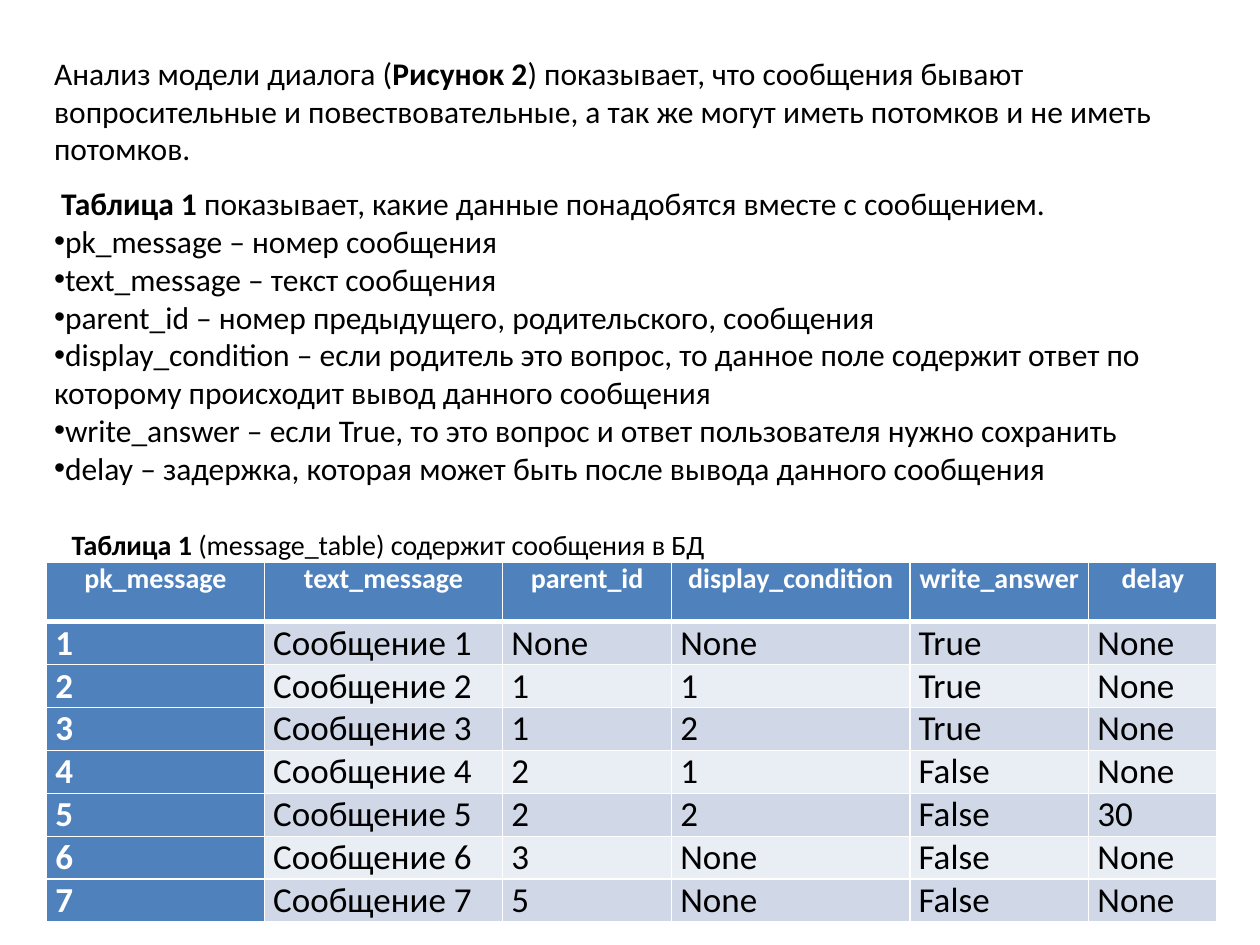
from lxml import etree
from pptx import Presentation
from pptx.dml.color import RGBColor
from pptx.enum import text
from pptx.oxml import ns
from pptx.util import Pt

WHITE, BLACK, BLUE = "FFFFFF", "000000", "4F81BD"
BANDS = ["D0D8E8", "E9EDF4"]


def color(value):
    return RGBColor.from_string(value)


class MessageSlide:
    font = "Calibri"

    def __init__(self, slide):
        self.slide = slide

    def runs(self, paragraph, parts, size, hex_color=BLACK):
        """Each part is a (wording, bold) pair."""
        for wording, bold in parts:
            run = paragraph.add_run()
            run.text = wording
            for name, value in {"name": self.font, "size": Pt(size), "bold": bold}.items():
                setattr(run.font, name, value)
            run.font.color.rgb = color(hex_color)

    def bullet(self, paragraph):
        props = paragraph._p.get_or_add_pPr()
        etree.SubElement(props, ns.qn("a:buFont")).set("typeface", "Arial")
        etree.SubElement(props, ns.qn("a:buChar")).set("char", "•")

    def textbox(self, box, paragraphs, size, anchor):
        """Each paragraph is (parts, space before, has bullet)."""
        frame = self.slide.shapes.add_textbox(*map(Pt, box)).text_frame
        settings = {
            "word_wrap": True,
            "auto_size": text.MSO_AUTO_SIZE.SHAPE_TO_FIT_TEXT,
            "vertical_anchor": anchor,
        }
        for name, value in settings.items():
            setattr(frame, name, value)
        for index, (parts, gap, bulleted) in enumerate(paragraphs):
            paragraph = frame.add_paragraph() if index else frame.paragraphs[0]
            paragraph.space_before = Pt(gap)
            if bulleted:
                self.bullet(paragraph)
            self.runs(paragraph, parts, size)

    def borders(self, cell, bottom):
        props = cell._tc.get_or_add_tcPr()
        widths = {"a:lnL": 1, "a:lnR": 1, "a:lnT": 1, "a:lnB": bottom}
        for index, (tag, width) in enumerate(widths.items()):
            line = etree.Element(ns.qn(tag), w=str(Pt(width)))
            fill = etree.SubElement(line, ns.qn("a:solidFill"))
            etree.SubElement(fill, ns.qn("a:srgbClr")).set("val", WHITE)
            props.insert(index, line)

    def cell(self, cell, wording, row, column):
        header = row == 0
        strong = header or column == 0
        margins = {"margin_left": 5, "margin_right": 5, "margin_top": 0, "margin_bottom": 0}
        for name, value in margins.items():
            setattr(cell, name, Pt(value))
        cell.fill.solid()
        cell.fill.fore_color.rgb = color(BLUE if strong else BANDS[(row - 1) % 2])
        # The line under the header is thicker
        self.borders(cell, 3 if header else 1)
        paragraph = cell.text_frame.paragraphs[0]
        if header:
            paragraph.alignment = text.PP_ALIGN.CENTER
        self.runs(paragraph, [(wording, strong)], 16 if header else 20,
                  WHITE if strong else BLACK)

    def table(self, left, top, widths, heights, rows):
        table = self.slide.shapes.add_table(
            len(heights), len(widths), Pt(left), Pt(top),
            Pt(sum(widths)), Pt(sum(heights))).table
        for column, width in zip(table.columns, widths):
            column.width = Pt(width)
        for row, height in zip(table.rows, heights):
            row.height = Pt(height)
        for r, values in enumerate(rows):
            for c, wording in enumerate(values):
                self.cell(table.cell(r, c), wording, r, c)


deck = Presentation()
deck.slide_width, deck.slide_height = Pt(720), Pt(540)
page = MessageSlide(deck.slides.add_slide(deck.slide_layouts[6]))

# Message table
header = ["pk_message", "text_message", "parent_id",
          "display_condition", "write_answer", "delay"]
details = [
    ("None", "None", "True", "None"),
    ("1", "1", "True", "None"),
    ("1", "2", "True", "None"),
    ("2", "1", "False", "None"),
    ("2", "2", "False", "30"),
    ("3", "None", "False", "None"),
    ("5", "None", "False", "None"),
]
messages = [(str(number), f"Сообщение {number}", *detail)
            for number, detail in enumerate(details, 1)]
page.table(26.6, 321.3, [124.5, 136.2, 96.5, 136.2, 102.2, 73.4],
           [34] + [24.5] * len(messages), [header, *messages])

# Analysis and field list
fields = [
    "pk_message – номер сообщения",
    "text_message – текст сообщения",
    "parent_id – номер предыдущего, родительского, сообщения",
    "display_condition – если родитель это вопрос, то данное поле содержит "
    "ответ по которому происходит вывод данного сообщения",
    "write_answer – если True, то это вопрос и ответ пользователя нужно сохранить",
    "delay – задержка, которая может быть после вывода данного сообщения",
]
analysis = [
    ("Анализ модели диалога (", False),
    ("Рисунок 2", True),
    (") показывает, что сообщения бывают вопросительные и повествовательные, "
     "а так же могут иметь потомков и не иметь потомков.", False),
]
purpose = [
    (" ", False),
    ("Таблица 1 ", True),
    ("показывает, какие данные понадобятся вместе с сообщением.", False),
]
page.textbox((23.8, 25.9, 644.4, 257),
             [(analysis, 0, False), (purpose, 9.75, False)]
             + [([(field, False)], 0, True) for field in fields],
             18, text.MSO_ANCHOR.MIDDLE)

# Table caption
caption = [("Таблица 1 ", True), ("(message_table) содержит сообщения в БД", False)]
page.textbox((33.8, 298.1, 503.3, 26.6), [(caption, 0, False)], 16, text.MSO_ANCHOR.TOP)

deck.save("out.pptx")
